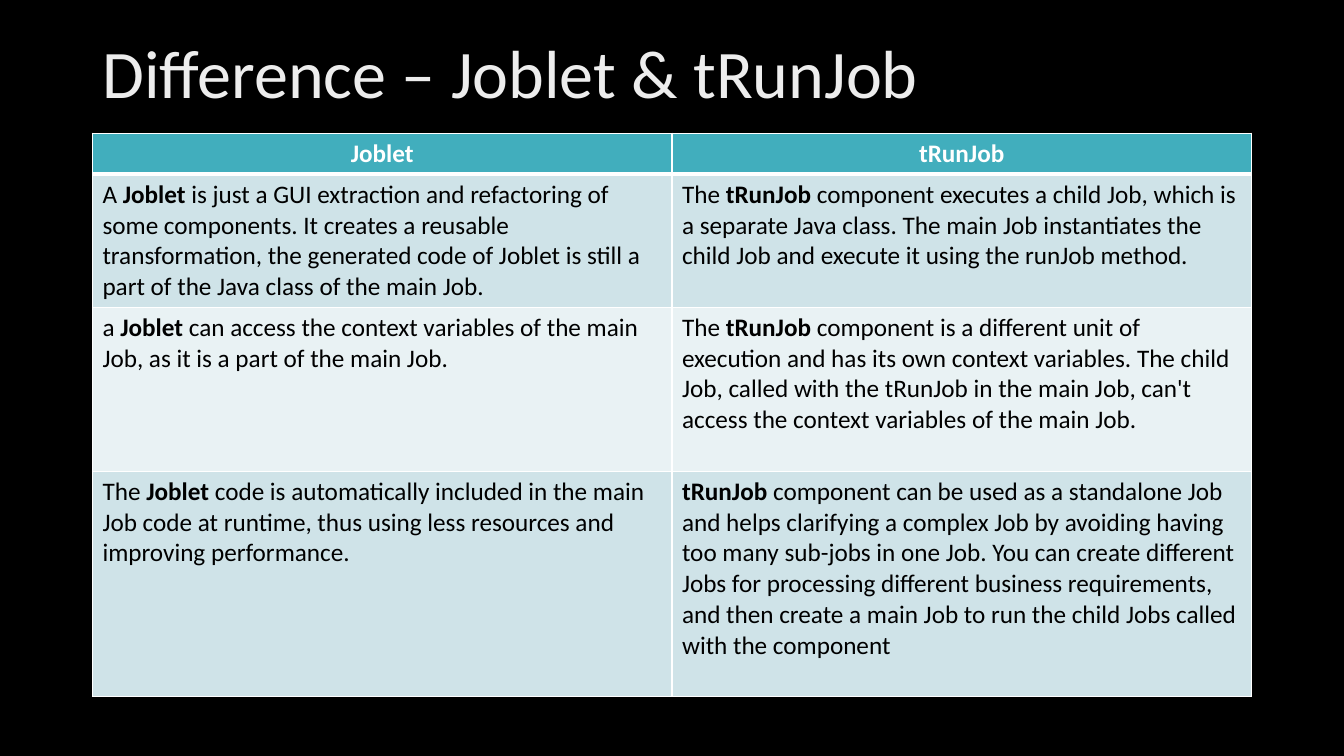
"""Build a slide that compares Joblet with tRunJob in a table."""
from lxml.etree import SubElement
from pptx import Presentation
from pptx.dml.color import RGBColor
from pptx.enum.text import MSO_ANCHOR, PP_ALIGN
from pptx.oxml.ns import qn
from pptx.util import Cm, Pt

FONT = "Calibri"
HUES = {"back": "000000", "title": "EDEDED", "head": "41AEBD", "odd": "CFE3E8",
        "even": "E9F2F4", "line": "FFFFFF", "light": "FFFFFF", "dark": "000000"}
LEFT, WIDTH = Cm(2.33), Cm(29.21)
TITLE = "Difference – Joblet & tRunJob"
KEYS = ("Joblet", "tRunJob")
ROWS = [
    (1.03, KEYS),
    (3.35, (
        "A Joblet is just a GUI extraction and refactoring of some components. It creates "
        "a reusable transformation, the generated code of Joblet is still a part of the "
        "Java class of the main Job.",
        "The tRunJob component executes a child Job, which is a separate Java class. The "
        "main Job instantiates the child Job and execute it using the runJob method.")),
    (4.13, (
        "a Joblet can access the context variables of the main Job, as it is a part of "
        "the main Job.",
        "The tRunJob component is a different unit of execution and has its own context "
        "variables. The child Job, called with the tRunJob in the main Job, can't access "
        "the context variables of the main Job.")),
    (5.67, (
        "The Joblet code is automatically included in the main Job code at runtime, thus "
        "using less resources and improving performance.",
        "tRunJob component can be used as a standalone Job and helps clarifying a complex "
        "Job by avoiding having too many sub-jobs in one Job. You can create different "
        "Jobs for processing different business requirements, and then create a main Job "
        "to run the child Jobs called with the component")),
]


def color(name):
    return RGBColor.from_string(HUES[name])


def style(run, size, hue, bold=False):
    font = run.font
    font.name, font.size, font.bold = FONT, Pt(size), bold
    font.color.rgb = color(hue)


def add_title(slide):
    box = slide.shapes.add_textbox(LEFT, Cm(1.02), WIDTH, Cm(1.93))
    frame = box.text_frame
    frame.word_wrap = True
    frame.vertical_anchor = MSO_ANCHOR.MIDDLE
    frame.text = TITLE
    para = frame.paragraphs[0]
    para.line_spacing = 0.8
    style(para.runs[0], 48.6, "title")


def add_edge(cell, side, width):
    props = cell._tc.get_or_add_tcPr()
    line = SubElement(props, qn(f"a:ln{side}"), w=str(Pt(width)))
    fill = SubElement(line, qn("a:solidFill"))
    SubElement(fill, qn("a:srgbClr"), val=HUES["line"])


def fill_cell(cell, row, key, text):
    thick = {(0, "B"), (1, "T")}
    for side in "LRTB":
        add_edge(cell, side, 3 if (row, side) in thick else 1)
    cell.fill.solid()
    cell.fill.fore_color.rgb = color("head" if row == 0 else "odd" if row % 2 else "even")
    para = cell.text_frame.paragraphs[0]
    if row == 0:
        para.alignment = PP_ALIGN.CENTER
    for part in filter(None, text.partition(key)):
        run = para.add_run()
        run.text = part
        style(run, 18, "dark" if row else "light", part == key)


def add_grid(slide):
    height = Cm(sum(size for size, _ in ROWS))
    frame = slide.shapes.add_table(len(ROWS), len(KEYS), LEFT, Cm(3.36), WIDTH, height)
    table = frame.table
    for row, (size, texts) in enumerate(ROWS):
        table.rows[row].height = Cm(size)
        for col, (key, text) in enumerate(zip(KEYS, texts)):
            fill_cell(table.cell(row, col), row, key, text)


def main():
    deck = Presentation()
    deck.slide_width, deck.slide_height = Cm(33.87), Cm(19.05)
    slide = deck.slides.add_slide(deck.slide_layouts[6])
    back = slide.background.fill
    back.solid()
    back.fore_color.rgb = color("back")
    add_grid(slide)
    add_title(slide)
    deck.save("out.pptx")


if __name__ == "__main__":
    main()
